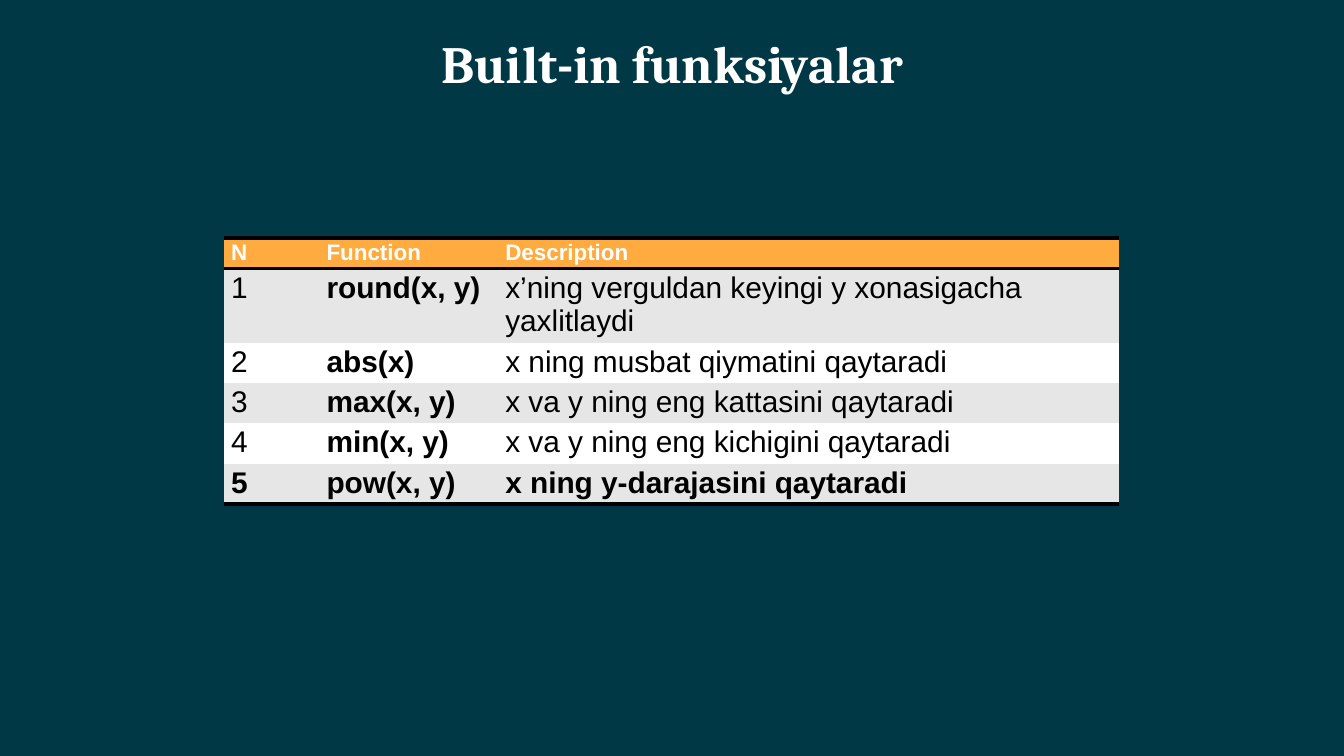
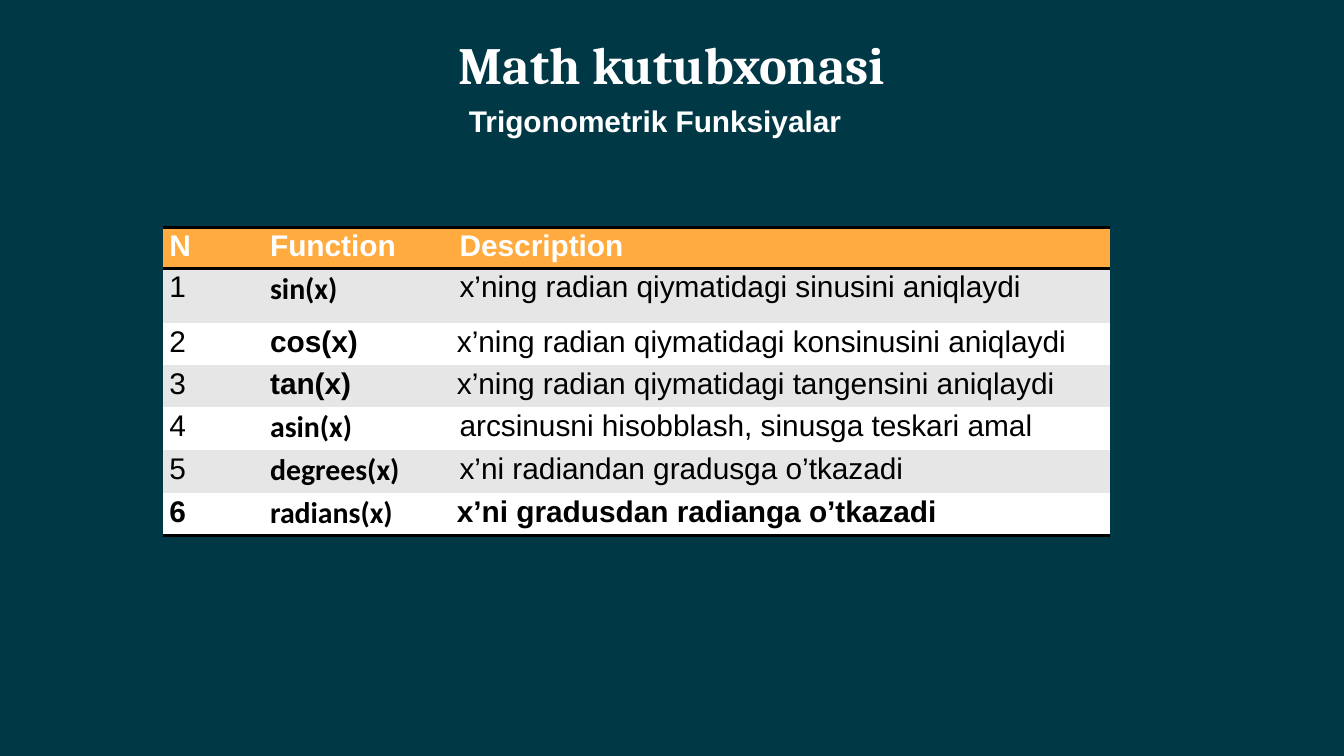
from lxml.etree import SubElement
from pptx import Presentation
from pptx.dml.color import RGBColor
from pptx.enum.text import PP_ALIGN
from pptx.oxml.ns import qn
from pptx.util import Inches, Pt

COLORS = {"page": "003846", "header": "FFAB40", "band": "E6E6E6",
          "plain": "FFFFFF", "light": "FFFFFF", "dark": "000000"}
PLAIN_STYLE = "{2D5ABB26-0587-4C30-8999-92F81FD0307C}"
TITLE = {"name": "Cambria", "size": Pt(28), "bold": True}
SUBTITLE = {"name": "Arial", "size": Pt(16), "bold": True}
BODY = {"name": "Arial", "size": Pt(16), "bold": False}
HEADINGS = ("N", "Function", "Description")
JUSTIFIED = {"align": PP_ALIGN.JUSTIFY}
CALIBRI = {"font": "Calibri"}
TIGHT = {"inset": 0.03}

BUILT_IN = [
    ("round(x, y)", "x’ning verguldan keyingi y xonasigacha yaxlitlaydi", {}),
    ("abs(x)", "x ning musbat qiymatini qaytaradi", JUSTIFIED),
    ("max(x, y)", "x va y ning eng kattasini qaytaradi", JUSTIFIED),
    ("min(x, y)", "x va y ning eng kichigini qaytaradi", JUSTIFIED),
    ("pow(x, y)", "x ning y-darajasini qaytaradi", JUSTIFIED),
]
TRIGONOMETRIC = [
    ("sin(x)", "x’ning radian qiymatidagi sinusini aniqlaydi", CALIBRI),
    ("cos(x)", "x’ning radian qiymatidagi konsinusini aniqlaydi", JUSTIFIED | TIGHT),
    ("tan(x)", "x’ning radian qiymatidagi tangensini aniqlaydi", JUSTIFIED | TIGHT),
    ("asin(x)", "arcsinusni hisobblash, sinusga teskari amal", CALIBRI),
    ("degrees(x)", "x’ni radiandan gradusga o’tkazadi", CALIBRI),
    ("radians(x)", "x’ni gradusdan radianga o’tkazadi", CALIBRI | TIGHT),
]


def color(name):
    """Return the named colour."""
    return RGBColor.from_string(COLORS[name])


def write(para, text, style, shade, align=PP_ALIGN.LEFT):
    """Write one formatted span into a paragraph."""
    para.alignment = align
    span = para.add_run()
    span.text = text
    for key, value in style.items():
        setattr(span.font, key, value)
    span.font.color.rgb = color(shade)


def set_margins(holder, side):
    """Set the side margins and the shared top and bottom margins."""
    margins = {"margin_left": side, "margin_right": side,
               "margin_top": 0.02, "margin_bottom": 0.02}
    for key, value in margins.items():
        setattr(holder, key, Inches(value))


def add_heading(page, box, text, style):
    """Place a centred line of light text in the box."""
    frame = page.shapes.add_textbox(*map(Inches, box)).text_frame
    set_margins(frame, 0.05)
    frame.word_wrap = True
    write(frame.paragraphs[0], text, style, "light", PP_ALIGN.CENTER)


def add_rule(cell, edge):
    """Draw a dark line on one edge of a cell."""
    properties = cell._tc.get_or_add_tcPr()
    line = SubElement(properties, qn(f"a:{edge}"), w=str(Pt(2)))
    fill = SubElement(line, qn("a:solidFill"))
    SubElement(fill, qn("a:srgbClr"), val=COLORS["dark"])


def fill_cell(cell, text, style, shade, ground, edges=(), align=PP_ALIGN.LEFT, inset=0.05):
    """Set the text, margins, rules and background of a cell."""
    set_margins(cell, inset)
    for edge in edges:
        add_rule(cell, edge)
    cell.fill.solid()
    cell.fill.fore_color.rgb = color(ground)
    write(cell.text_frame.paragraphs[0], text, style, shade, align)


def add_function_table(page, corner, widths, heights, functions, header_size):
    """Place a numbered table of functions with its corner at the given point."""
    box = (*corner, sum(widths), sum(heights))
    frame = page.shapes.add_table(len(heights), len(widths), *map(Inches, box))
    table = frame.table
    table.first_row = table.horz_banding = False
    for style_id in frame._element.iter(qn("a:tableStyleId")):
        style_id.text = PLAIN_STYLE
    for column, width in zip(table.columns, widths):
        column.width = Inches(width)
    for row, height in zip(table.rows, heights):
        row.height = Inches(height)
    header = BODY | {"size": Pt(header_size), "bold": True}
    for column, text in enumerate(HEADINGS):
        fill_cell(table.cell(0, column), text, header, "light", "header", ("lnT", "lnB"))
    for number, (name, description, options) in enumerate(functions, 1):
        last = number == len(functions)
        ground = "band" if number % 2 else "plain"
        edges = ("lnB",) if last else ()
        style = BODY | {"bold": last}
        name_style = BODY | {"bold": True, "name": options.get("font", "Arial")}
        fill_cell(table.cell(number, 0), str(number), style, "dark", ground, edges)
        fill_cell(table.cell(number, 1), name, name_style, "dark", ground, edges,
                  align=options.get("align", PP_ALIGN.LEFT))
        fill_cell(table.cell(number, 2), description, style, "dark", ground, edges,
                  inset=options.get("inset", 0.05))


def add_page(deck):
    """Add a blank page with the shared background."""
    page = deck.slides.add_slide(deck.slide_layouts[6])
    page.background.fill.solid()
    page.background.fill.fore_color.rgb = color("page")
    return page


def main():
    """Build and save the deck."""
    deck = Presentation()
    deck.slide_width = Inches(10)
    deck.slide_height = Inches(10) * 9 // 16

    page = add_page(deck)
    add_function_table(page, (1.67, 1.77), (0.71, 1.33, 4.62),
                       (0.23, 0.55, 0.3, 0.3, 0.3, 0.3), BUILT_IN, 12)
    add_heading(page, (3.13, 0.21, 3.74, 0.52), "Built-in funksiyalar", TITLE)

    page = add_page(deck)
    add_function_table(page, (1.21, 1.69), (0.75, 1.41, 4.89),
                       (0.3, 0.41, 0.31, 0.31, 0.32, 0.32, 0.32), TRIGONOMETRIC, 16)
    add_heading(page, (2.3, 0.74, 5.15, 0.32), "Trigonometrik Funksiyalar", SUBTITLE)
    add_heading(page, (3.25, 0.22, 3.5, 0.52), "Math kutubxonasi", TITLE)

    deck.save("out.pptx")


if __name__ == "__main__":
    main()
